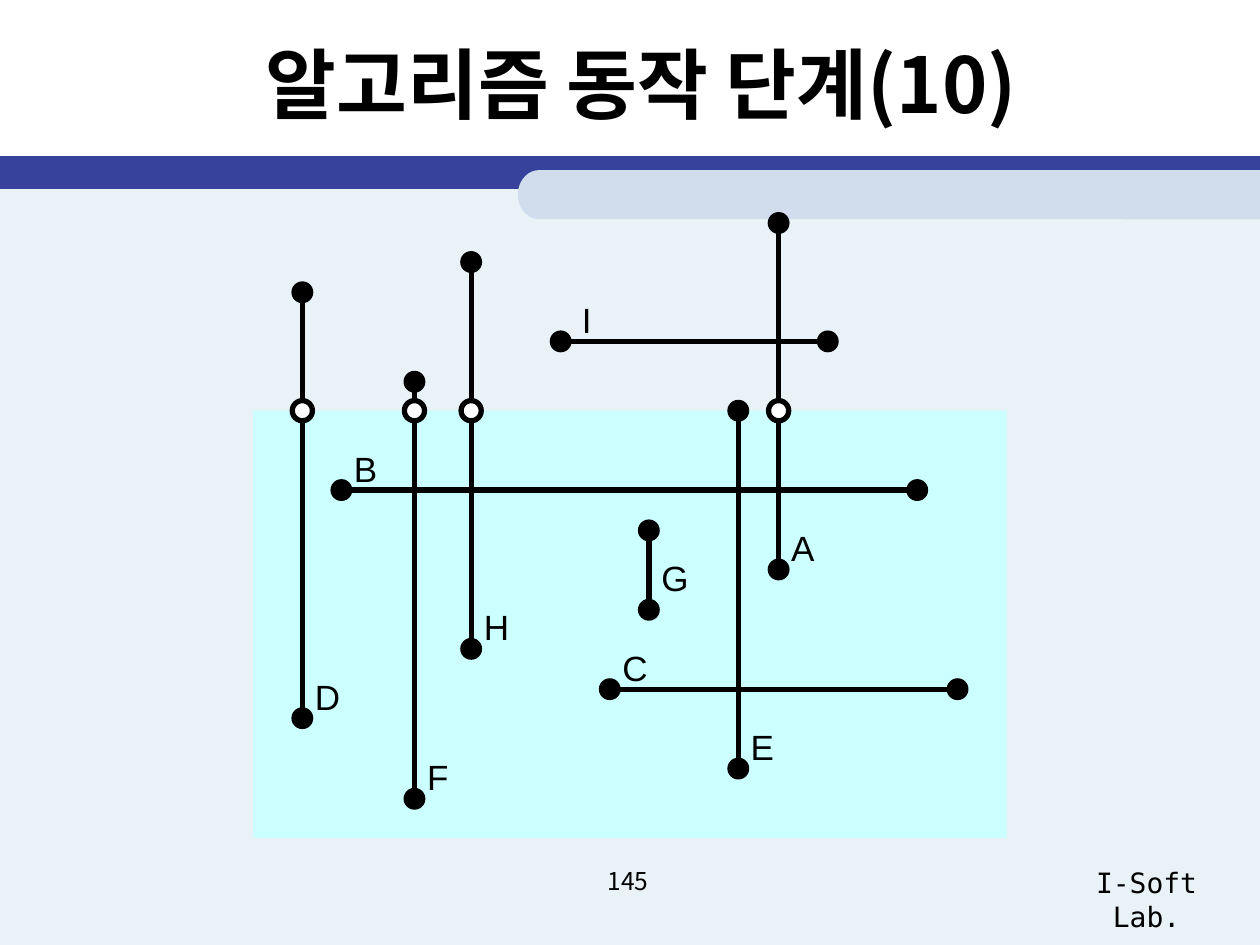
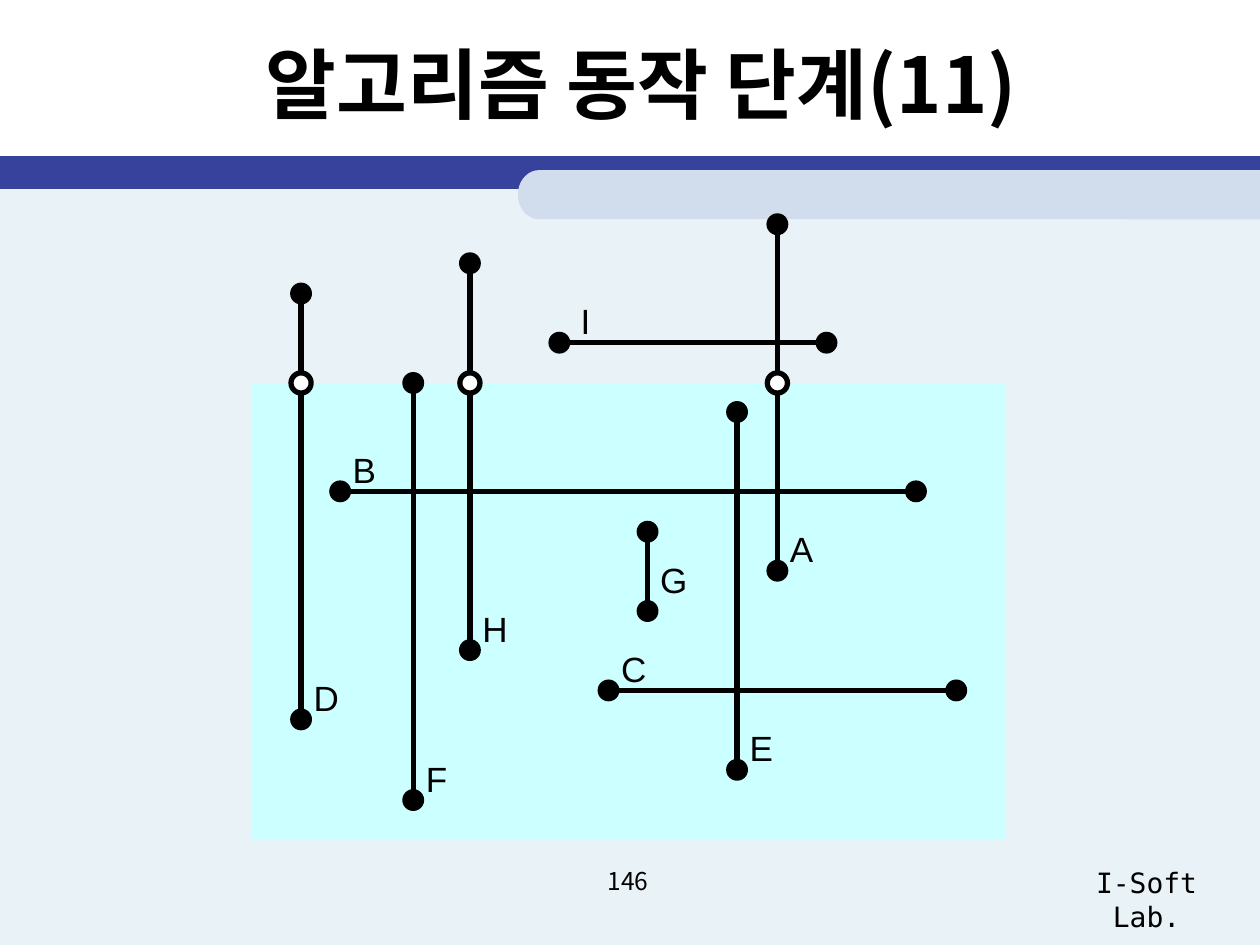
import math
import pptx
import pptx.util
import pptx.dml.color
import pptx.enum.shapes
import pptx.enum.text
import pptx.oxml.ns
from lxml import etree

Inches = pptx.util.Inches
Pt = pptx.util.Pt
RGBColor = pptx.dml.color.RGBColor
Kind = pptx.enum.shapes.MSO_SHAPE
Align = pptx.enum.text.PP_ALIGN
Anchor = pptx.enum.text.MSO_ANCHOR
Fit = pptx.enum.text.MSO_AUTO_SIZE
qn = pptx.oxml.ns.qn

BLACK = RGBColor(0x00, 0x00, 0x00)
WHITE = RGBColor(0xFF, 0xFF, 0xFF)
PALE = RGBColor(0xE8, 0xF2, 0xF7)
NAVY = RGBColor(0x36, 0x42, 0x9B)
MIST = RGBColor(0xD1, 0xDD, 0xEC)
AQUA = RGBColor(0xCC, 0xFF, 0xFF)

KOREAN = "Noto Sans CJK KR"
TITLE = {"name": KOREAN, "size": Pt(44), "bold": True}
NUMBER = {"name": KOREAN, "size": Pt(14)}
FOOTER = {"name": "DejaVu Sans Mono", "size": Pt(16)}
LABEL = {"name": "Arial", "size": Pt(20)}
FRAME = {"margin_left": Inches(0.1), "margin_right": Inches(0.1),
         "margin_top": Inches(0.05), "margin_bottom": Inches(0.05)}

DOT = 0.16
FLOOR = 6.65
RISE = 0.39
SEGMENTS = {
    "A": (6.18, 1.77, 6.18, 4.52),
    "B": (2.71, 3.89, 7.28, 3.89),
    "C": (4.84, 5.47, 7.6, 5.47),
    "D": (2.4, 2.32, 2.4, 5.7),
    "E": (5.86, 3.26, 5.86, 6.1),
    "F": (3.29, 3.03, 3.29, 6.34),
    "G": (5.15, 4.21, 5.15, 4.84),
    "H": (3.74, 2.08, 3.74, 5.15),
    "I": (4.45, 2.71, 6.57, 2.71),
}
WIDTHS = {"C": 0.4, "D": 0.4, "F": 0.37, "G": 0.41, "H": 0.4, "I": 0.27}
NUDGES = {"G": (0, -0.08), "I": (0.07, 0)}
STEPS = [
    {"step": 10, "page": 145, "sweep": 3.26, "shift": (0, 0)},
    {"step": 11, "page": 146, "sweep": 3.03, "shift": (-0.01, 0.01)},
]


def apply(target, values):
    for key, value in values.items():
        setattr(target, key, value)


def paint(shape, fill, width=0):
    shape.shadow.inherit = False
    shape.fill.solid()
    shape.fill.fore_color.rgb = fill
    if width:
        shape.line.color.rgb = BLACK
        shape.line.width = Pt(width)
    else:
        shape.line.fill.background()


def add_block(shapes, kind, place, fill, width=0):
    shape = shapes.add_shape(kind, *map(Inches, place))
    paint(shape, fill, width)


def write(shape, text, style):
    shape.text_frame.text = text
    para = shape.text_frame.paragraphs[0]
    para.alignment = Align.CENTER
    run = para.runs[0]
    apply(run.font, style)
    run.font.color.rgb = BLACK
    asian = etree.SubElement(run.font._element, qn("a:ea"))
    asian.set("typeface", style["name"])


def add_text(shapes, place, text, style, wrap=True, fit=Fit.NONE):
    box = shapes.add_textbox(*map(Inches, place))
    apply(box.text_frame, {**FRAME, "word_wrap": wrap, "auto_size": fit})
    write(box, text, style)


def add_line(shapes, ends):
    line = shapes.add_connector(
        pptx.enum.shapes.MSO_CONNECTOR.STRAIGHT, *map(Inches, ends))
    line.line.color.rgb = BLACK
    line.line.width = Pt(3)
    etree.SubElement(line._element.spPr, qn("a:effectLst"))


def add_dot(shapes, x, y, fill=BLACK, width=1):
    place = (x - DOT / 2, y - DOT / 2, DOT, DOT)
    add_block(shapes, Kind.OVAL, place, fill, width)


def add_tab(shapes):
    left, top, right, base = 4.11, 1.35, 10, 1.74
    wide, high = 0.17, (base - top) / 2
    turns = [math.radians(90 + 10 * i) for i in range(19)]
    curve = [(Inches(left + wide + wide * math.cos(t)),
              Inches(top + high - high * math.sin(t))) for t in turns]
    build = shapes.build_freeform(Inches(right), Inches(top))
    build.add_line_segments(curve + [(Inches(right), Inches(base))])
    paint(build.convert_to_shape(), MIST)


def add_frame(slide, step, page):
    shapes = slide.shapes
    add_block(shapes, Kind.RECTANGLE, (0, 1.4, 10, 6.1), PALE)
    add_block(shapes, Kind.RECTANGLE, (0, 1.24, 10, 0.26), NAVY)
    add_tab(shapes)
    add_text(shapes, (8.31, 6.82, 1.58, 0.37), "I-Soft Lab.", FOOTER,
             fit=Fit.SHAPE_TO_FIT_TEXT)
    title = shapes.title
    apply(title, {"left": Inches(0.59), "top": Inches(0.08),
                  "width": Inches(9), "height": Inches(1.15)})
    title.text_frame.vertical_anchor = Anchor.MIDDLE
    write(title, f"알고리즘 동작 단계({step})", TITLE)
    add_text(shapes, (3.82, 6.82, 2.33, 0.52), str(page), NUMBER)


def add_sweep(slide, sweep, shift):
    shapes = slide.shapes.add_group_shape().shapes
    dx, dy = shift
    add_block(shapes, Kind.RECTANGLE,
              (2.01 + dx, sweep + dy, 5.98, FLOOR - sweep), AQUA)
    for name, (x1, y1, x2, y2) in SEGMENTS.items():
        x1, y1, x2, y2 = x1 + dx, y1 + dy, x2 + dx, y2 + dy
        add_line(shapes, (x1, y1, x2, y2))
        add_dot(shapes, x1, y1)
        add_dot(shapes, x2, y2)
        if x1 == x2 and y1 < sweep + dy < y2:
            add_dot(shapes, x1, sweep + dy, WHITE, 3)
        right, down = NUDGES.get(name, (0, 0))
        place = (x1 + right, y2 - RISE + down, WIDTHS.get(name, 0.38), 0.44)
        add_text(shapes, place, name, LABEL, False, Fit.SHAPE_TO_FIT_TEXT)


def main():
    deck = pptx.Presentation()
    apply(deck, {"slide_width": Inches(10), "slide_height": Inches(7.5)})
    for item in STEPS:
        slide = deck.slides.add_slide(deck.slide_layouts[5])
        add_frame(slide, item["step"], item["page"])
        add_sweep(slide, item["sweep"], item["shift"])
    deck.save("out.pptx")


if __name__ == "__main__":
    main()
